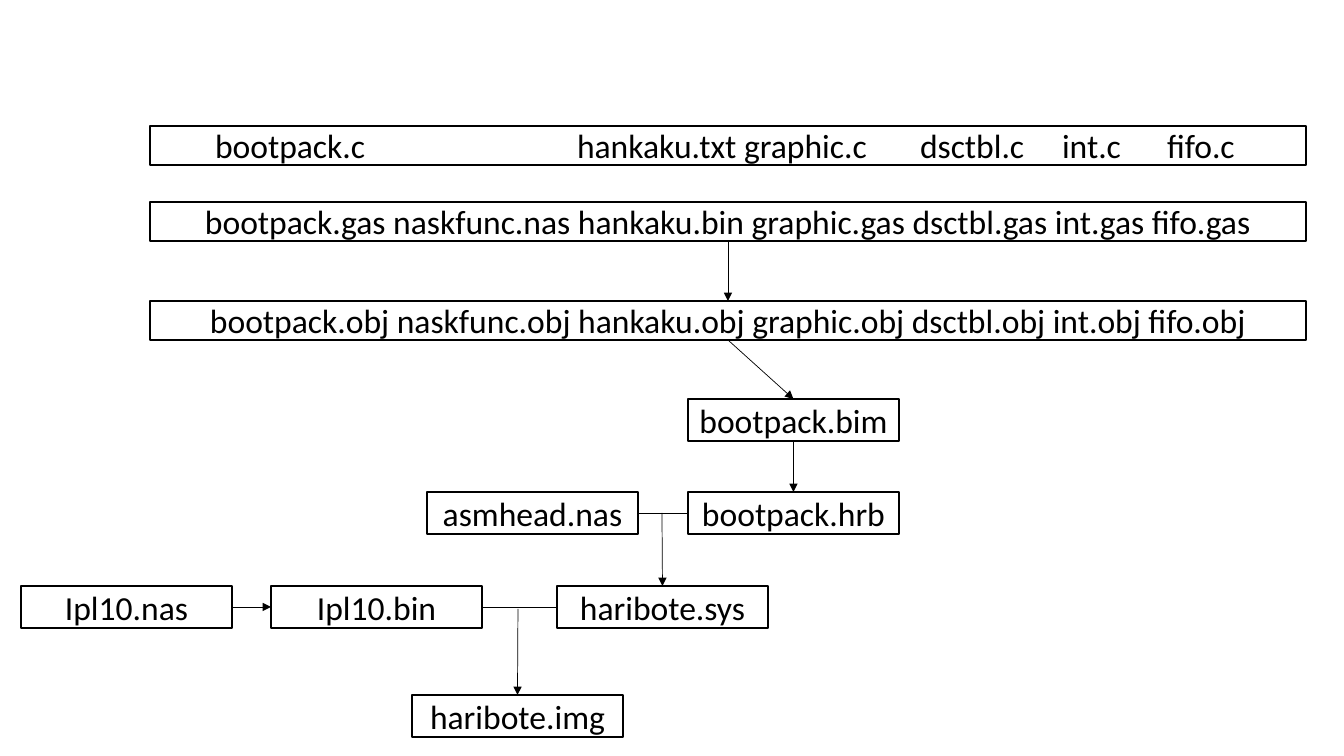
from dataclasses import dataclass

from lxml.etree import SubElement
from pptx import Presentation
from pptx.dml.color import RGBColor as Color
from pptx.enum.shapes import MSO_CONNECTOR as Connector, MSO_SHAPE as Shape
from pptx.enum.text import MSO_ANCHOR as Anchor, PP_ALIGN as Align
from pptx.oxml.ns import qn
from pptx.util import Emu, Pt

EMU_PER_PIXEL = 914400 / 100.8
TOP, LEFT, BOTTOM, RIGHT = range(4)  # connection sites of a rectangle


@dataclass(frozen=True)
class Theme:
    """Colours, font and sizes of the diagram."""
    ink: Color = Color(0, 0, 0)
    paper: Color = Color(255, 255, 255)
    font: str = "Calibri"
    text_size: float = 24
    box_line: float = 1
    arrow_line: float = 0.5


def px(pixels):
    """Turn pixels into EMU."""
    return Emu(round(pixels * EMU_PER_PIXEL))


def write(box, text, *, theme, align=Align.CENTER, inset=None, tabs=()):
    """Write one line of text into a box, with optional left inset and tab stops."""
    frame = box.text_frame
    frame.word_wrap = True
    frame.vertical_anchor = Anchor.MIDDLE
    if inset is not None:
        frame.margin_left = px(inset)
    para = frame.paragraphs[0]
    para.alignment = align
    if tabs:
        stops = SubElement(para._p.get_or_add_pPr(), qn("a:tabLst"))
        for stop in tabs:
            SubElement(stops, qn("a:tab"), pos=str(px(stop)), algn="l")
    span = para.add_run()
    span.text = text
    span.font.name = theme.font
    span.font.size = Pt(theme.text_size)
    span.font.color.rgb = theme.ink


class Diagram:
    """Draws build files and the steps between them on one page."""

    def __init__(self, page, theme):
        """Keep the page and its style."""
        self.page, self.theme = page, theme

    def box(self, text, left, top, width=211, height=42, **text_format):
        """Add an outlined box with text."""
        box = self.page.shapes.add_shape(
            Shape.RECTANGLE, px(left), px(top), px(width), px(height))
        box.shadow.inherit = False
        box.fill.solid()
        box.fill.fore_color.rgb = self.theme.paper
        box.line.color.rgb = self.theme.ink
        box.line.width = Pt(self.theme.box_line)
        write(box, text, theme=self.theme, **text_format)
        return box

    def row(self, text, top, **text_format):
        """Add a wide box that lists several files."""
        return self.box(text, 150, top, 1156, 39, **text_format)

    def link(self, target, site, source=None, source_site=BOTTOM,
             start=(0, 0), arrow=True):
        """Connect a source box, or a start point, to a target box."""
        x, y = map(px, start)
        line = self.page.shapes.add_connector(Connector.STRAIGHT, x, y, x, y)
        if source is not None:
            line.begin_connect(source, source_site)
        line.end_connect(target, site)
        line.line.color.rgb = self.theme.ink
        line.line.width = Pt(self.theme.arrow_line)
        if arrow:
            SubElement(line.line._get_or_add_ln(), qn("a:tailEnd"), type="triangle")
        SubElement(line._element.spPr, qn("a:effectLst"))


def build():
    """Build and save the deck."""
    deck = Presentation()
    deck.slide_width, deck.slide_height = px(1344), px(756)
    diagram = Diagram(deck.slides.add_slide(deck.slide_layouts[6]), Theme())

    diagram.row("bootpack.c\thankaku.txt graphic.c\tdsctbl.c\tint.c\tfifo.c", 126,
                align=Align.LEFT, inset=65, tabs=(362, 705, 847, 952))
    assembly = diagram.row("bootpack.gas naskfunc.nas hankaku.bin graphic.gas "
                           "dsctbl.gas int.gas fifo.gas", 202)
    objects = diagram.row("bootpack.obj naskfunc.obj hankaku.obj graphic.obj "
                          "dsctbl.obj int.obj fifo.obj", 301)
    bim = diagram.box("bootpack.bim", 688, 399)
    hrb = diagram.box("bootpack.hrb", 688, 492)
    asmhead = diagram.box("asmhead.nas", 427, 492)
    ipl_source = diagram.box("Ipl10.nas", 21, 586)
    ipl_binary = diagram.box("Ipl10.bin", 271, 586)
    system = diagram.box("haribote.sys", 557, 586)
    image = diagram.box("haribote.img", 412, 695)

    for upper, lower in ((assembly, objects), (objects, bim), (bim, hrb)):
        diagram.link(lower, TOP, upper)
    diagram.link(ipl_binary, LEFT, ipl_source, RIGHT)
    for first, second, result, junction in (
            (asmhead, hrb, system, (662, 513)),
            (ipl_binary, system, image, (518, 609))):
        diagram.link(second, LEFT, first, RIGHT, arrow=False)
        diagram.link(result, TOP, start=junction)

    deck.save("out.pptx")


build()
